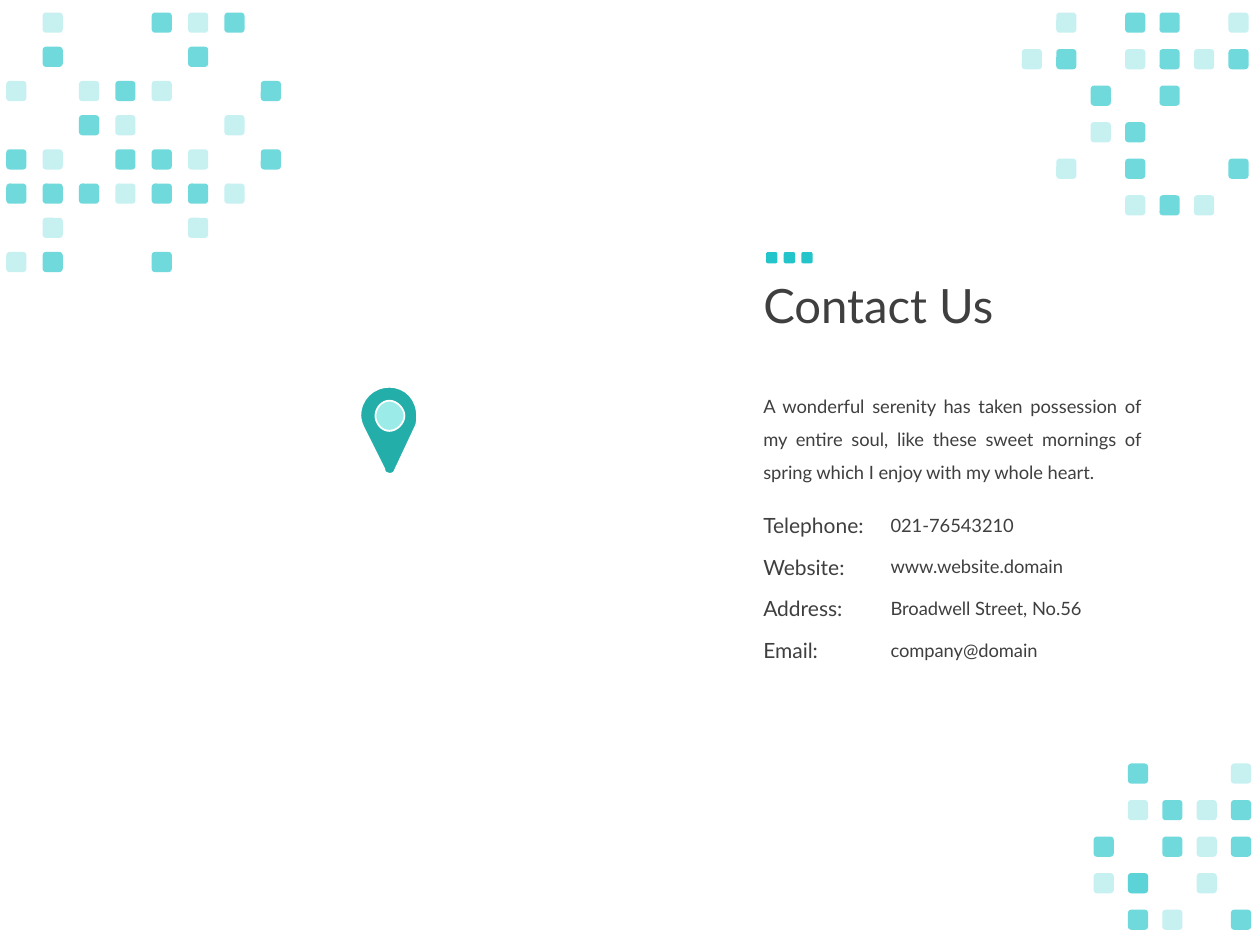
from pptx import Presentation
from pptx.dml.color import RGBColor
from pptx.enum.shapes import MSO_SHAPE
from pptx.enum.text import MSO_ANCHOR, PP_ALIGN
from pptx.oxml.ns import qn
from pptx.util import Inches, Pt

ROUNDED = MSO_SHAPE.ROUNDED_RECTANGLE
OVAL = MSO_SHAPE.OVAL
MIDDLE = MSO_ANCHOR.MIDDLE
LEFT = PP_ALIGN.LEFT
JUSTIFY = PP_ALIGN.JUSTIFY

TEAL = RGBColor(0x23, 0xC5, 0xCA)
PIN_TEAL = RGBColor(0x23, 0xAE, 0xA9)
PIN_LIGHT = RGBColor(0x9B, 0xEB, 0xE8)
WHITE = RGBColor(0xFF, 0xFF, 0xFF)
TEXT_GRAY = RGBColor(0x3F, 0x3F, 0x3F)
FONT = "Lato"

TILE = 0.16
# Opacities in percent of the tiles stacked in one mosaic cell
TILE_OPACITIES = {"-": (), "o": (25,), "#": (65,), "*": (65, 25)}

# Each mosaic: left and top of the first cell, left and top of the last, cells
TOP_LEFT_MOSAIC = (0.05, 0.1, 2.07, 2, [
    "-o--#o#-",
    "-#---#--",
    "o-o#o--#",
    "--#o--o-",
    "#o-##o-#",
    "###o##o-",
    "-o---o--",
    "o#--#---",
])
TOP_RIGHT_MOSAIC = (8.11, 0.1, 9.75, 1.55, [
    "-o-##-o",
    "o#-o#o#",
    "--#-#--",
    "--o#---",
    "-o-#--#",
    "---o#o-",
])
BOTTOM_RIGHT_MOSAIC = (8.68, 6.06, 9.77, 7.22, [
    "-#--o",
    "-o#o#",
    "#-#o#",
    "o*-o-",
    "-#o-#",
])

# Pin contours: a start point, then curves of two control points and an end
PIN_OUTLINE = ((3.3, 3.38), [
    ((3.3, 3.38), (3.14, 3.72), (3.14, 3.72)),
    ((3.13, 3.75), (3.12, 3.76), (3.09, 3.76)),
    ((3.07, 3.76), (3.05, 3.75), (3.05, 3.72)),
    ((3.05, 3.72), (2.88, 3.38), (2.88, 3.38)),
    ((2.87, 3.36), (2.86, 3.32), (2.86, 3.3)),
    ((2.86, 3.17), (2.96, 3.07), (3.09, 3.07)),
    ((3.22, 3.07), (3.31, 3.17), (3.31, 3.3)),
    ((3.31, 3.32), (3.31, 3.36), (3.3, 3.38)),
])
PIN_HOLE = ((3.09, 3.18), [
    ((3.03, 3.18), (2.98, 3.24), (2.98, 3.3)),
    ((2.98, 3.36), (3.03, 3.42), (3.09, 3.42)),
    ((3.15, 3.42), (3.21, 3.36), (3.21, 3.3)),
    ((3.21, 3.24), (3.15, 3.18), (3.09, 3.18)),
])

INTRO = ("A wonderful serenity has taken possession of my entire soul, "
         "like these sweet mornings of spring which I enjoy with my whole heart.")
CONTACTS = [
    ("Telephone:", "021-76543210"),
    ("Website:", "www.website.domain"),
    ("Address:", "Broadwell Street, No.56"),
    ("Email:", "company@domain"),
]


def add_tile(group, left, top, size, opacity=100):
    tile = group.shapes.add_shape(
        ROUNDED, Inches(left), Inches(top), Inches(size), Inches(size))
    tile.shadow.inherit = False
    tile.line.fill.background()
    tile.fill.solid()
    tile.fill.fore_color.rgb = TEAL
    if opacity < 100:
        color = tile.fill._xPr.find(".//" + qn("a:srgbClr"))
        alpha = color.makeelement(qn("a:alpha"), {"val": str(opacity * 1000)})
        color.append(alpha)


def add_mosaic(slide, left, top, last_left, last_top, rows):
    group = slide.shapes.add_group_shape()
    column_pitch = (last_left - left) / (len(rows[0]) - 1)
    row_pitch = (last_top - top) / (len(rows) - 1)
    for row, cells in enumerate(rows):
        for column, cell in enumerate(cells):
            for opacity in TILE_OPACITIES[cell]:
                add_tile(group, left + column * column_pitch,
                         top + row * row_pitch, TILE, opacity)


def add_title_dots(slide):
    group = slide.shapes.add_group_shape()
    for index in range(3):
        add_tile(group, 6.08 + index * 0.14, 2, 0.09)


def in_emu(point):
    return tuple(Inches(value) for value in point)


def add_curved_shape(group, contours):
    """Build a freeform through the curve ends, then bend its segments."""
    builder = group.shapes.build_freeform(*in_emu(contours[0][0]))
    for index, (start, curves) in enumerate(contours):
        if index:
            builder.move_to(*in_emu(start))
        builder.add_line_segments([in_emu(end) for *_, end in curves])
    shape = builder.convert_to_shape()

    curves = [curve for _, contour in contours for curve in contour]
    ends = [in_emu(end) for *_, end in curves]
    left = min(x for x, _ in ends)
    top = min(y for _, y in ends)
    segments = list(shape._element.iter(qn("a:lnTo")))
    for segment, (*controls, _) in zip(segments, curves):
        segment.tag = qn("a:cubicBezTo")
        for position, control in enumerate(controls):
            x, y = in_emu(control)
            segment.insert(position, segment.makeelement(
                qn("a:pt"), {"x": str(x - left), "y": str(y - top)}))
    return shape


def style_pin_part(part, color):
    part.shadow.inherit = False
    part.fill.solid()
    part.fill.fore_color.rgb = color
    part.line.color.rgb = WHITE
    part.line.width = Pt(1)


def add_map_pin(slide):
    group = slide.shapes.add_group_shape()
    center = group.shapes.add_shape(
        OVAL, Inches(2.96), Inches(3.16), Inches(0.26), Inches(0.26))
    style_pin_part(center, PIN_LIGHT)
    style_pin_part(add_curved_shape(group, [PIN_OUTLINE, PIN_HOLE]), PIN_TEAL)


def add_text(slide, text, left, top, width, height, size,
             align=LEFT, spacing=1.0, anchor=None):
    box = slide.shapes.add_textbox(
        Inches(left), Inches(top), Inches(width), Inches(height))
    frame = box.text_frame
    frame.word_wrap = True
    if anchor is not None:
        frame.vertical_anchor = anchor
    paragraph = frame.paragraphs[0]
    paragraph.alignment = align
    paragraph.line_spacing = spacing
    run = paragraph.add_run()
    run.text = text
    run.font.name = FONT
    run.font.size = Pt(size)
    run.font.color.rgb = TEXT_GRAY


def add_contacts(slide):
    for row, (label, value) in enumerate(CONTACTS):
        top = 4.02 + row * 0.33
        add_text(slide, label, 5.96, top, 1.56, 0.3, 12)
        add_text(slide, value, 6.97, top + 0.01, 1.93, 0.28, 10.5)


def main():
    presentation = Presentation()
    presentation.slide_width = Inches(10)
    presentation.slide_height = Inches(7.5)
    slide = presentation.slides.add_slide(presentation.slide_layouts[6])

    add_mosaic(slide, *TOP_LEFT_MOSAIC)
    add_text(slide, "Contact Us", 5.96, 1.72, 4, 1.45, 27,
             spacing=0.9, anchor=MIDDLE)
    add_text(slide, INTRO, 5.96, 3, 3.2, 0.86, 10.5,
             align=JUSTIFY, spacing=1.5)
    add_contacts(slide)
    add_map_pin(slide)
    add_mosaic(slide, *TOP_RIGHT_MOSAIC)
    add_mosaic(slide, *BOTTOM_RIGHT_MOSAIC)
    add_title_dots(slide)

    presentation.save("out.pptx")


if __name__ == "__main__":
    main()
